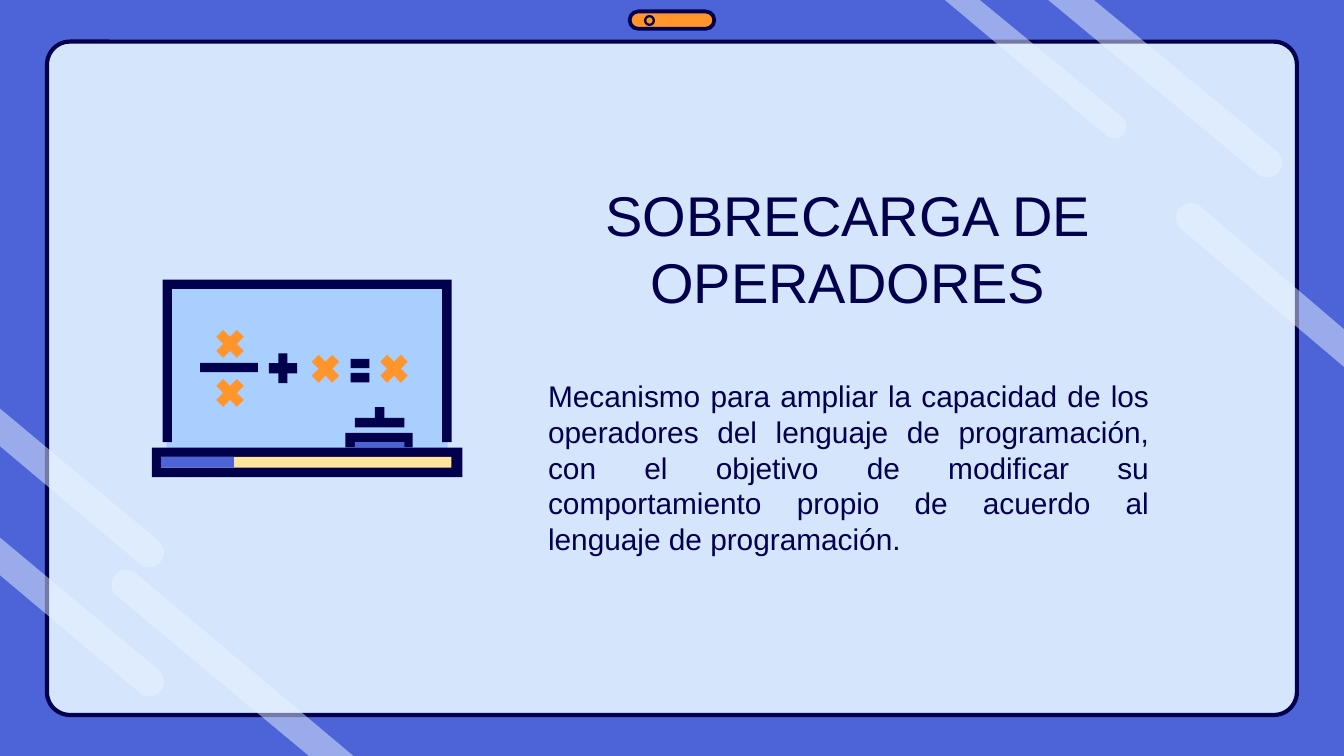
from math import cos, radians, sin

from lxml.etree import SubElement
from pptx import Presentation
from pptx.dml.color import RGBColor
from pptx.enum.shapes import MSO_SHAPE as Preset
from pptx.enum.text import MSO_ANCHOR as Anchor, PP_ALIGN as Align
from pptx.oxml.ns import qn
from pptx.util import Inches, Pt

# Every length is counted in cells: 1000 columns across the slide
COLUMNS, ROWS = 1000, 562.5
CELL = Inches(10) // COLUMNS

NAVY, BLUE, ORANGE = "00004D", "4C64D8", "FF952B"
PANEL, GLASS, SKY, CREAM = "D5E6FC", "E9F3FF", "A8CFFF", "FFE599"


def cells(*lengths):
    return [round(length * CELL) for length in lengths]


def paint(fill, color):
    fill.solid()
    fill.fore_color.rgb = RGBColor.from_string(color)


def style(shape, fill=None, line=None, line_width=0):
    shape.shadow.inherit = False
    if fill:
        paint(shape.fill, fill)
    else:
        shape.fill.background()
    if line:
        paint(shape.line.fill, line)
        shape.line.width = Pt(line_width)
    else:
        shape.line.fill.background()
    return shape


def add_preset(slide, preset, box, adjustment=None, **look):
    shape = slide.shapes.add_shape(preset, *cells(*box))
    if adjustment is not None:
        shape.adjustments[0] = adjustment
    return style(shape, **look)


def add_polygon(slide, points, fill):
    start, *others = [cells(*point) for point in points]
    builder = slide.shapes.build_freeform(*start, scale=1.0)
    builder.add_line_segments(others, close=True)
    return style(builder.convert_to_shape(), fill)


def add_streak(slide, cap, radius, lower_cut, upper_cut, turn):
    """Translucent diagonal bar: cut off at the slide edge, round at the cap."""
    angles = [radians(130 + turn * step) for step in range(0, 181, 10)]
    arc = [(cap[0] + radius * cos(angle), cap[1] + radius * sin(angle))
           for angle in angles]
    streak = add_polygon(slide, [lower_cut, *arc, upper_cut], GLASS)
    color = streak.fill._xPr.find(qn("a:solidFill"))[0]
    SubElement(color, qn("a:alpha"), val="50000")


def add_text(slide, box, text, size, align, anchor, inset=0, space_after=0):
    frame = slide.shapes.add_textbox(*cells(*box)).text_frame
    margins = {f"margin_{side}": Inches(inset)
               for side in ("left", "top", "right", "bottom")}
    paragraph = frame.paragraphs[0]
    run = paragraph.add_run()
    run.text = text
    formats = [
        (frame, {"word_wrap": True, "vertical_anchor": anchor, **margins}),
        (paragraph, {"alignment": align, "space_after": Pt(space_after)}),
        (run.font, {"name": "Arial", "size": Pt(size)}),
    ]
    for target, values in formats:
        for name, value in values.items():
            setattr(target, name, value)
    paint(run.font.fill, NAVY)


def add_backdrop(slide):
    paint(slide.background.fill, BLUE)
    add_preset(slide, Preset.ROUNDED_RECTANGLE, (35, 31, 930, 501), 0.034,
               fill=PANEL, line=NAVY, line_width=2.25)
    # Cap centre, radius, cuts at the slide edge, turn (-1 right, 1 left end)
    streaks = [
        ((943, 121), 11, (780, 0), (814, 0), -1),
        ((829, 94), 9, (703, 0), (729, 0), -1),
        ((94, 435), 11, (230, ROWS), (263, ROWS), 1),
        ((111, 507), 11, (0, 428), (0, 400), -1),
        ((111, 411), 11, (0, 332), (0, 304), -1),
        ((886, 162), 11, (COLUMNS, 273), (COLUMNS, 245), 1),
    ]
    for streak in streaks:
        add_streak(slide, *streak)
    # Camera pill
    add_preset(slide, Preset.ROUNDED_RECTANGLE, (468.5, 8.5, 63, 13), 0.5,
               fill=ORANGE, line=NAVY, line_width=2)
    add_preset(slide, Preset.OVAL, (480, 12, 6.5, 6.5),
               line=NAVY, line_width=1.25)


def add_blackboard(slide):
    blocks = [
        ((124, 211, 209, 125), SKY),      # board
        ((113, 333, 231, 22), NAVY),      # tray
        ((120, 340, 216, 8), CREAM),
        ((120, 340, 54, 8), BLUE),
        ((257, 322, 50, 11), NAVY),       # eraser
        ((264, 329, 37, 4), BLUE),
        ((264, 311, 37, 7), NAVY),
        ((279, 303, 7, 8), NAVY),
        ((149, 270, 43, 7), NAVY),        # fraction bar
        ((261, 267, 14, 7), NAVY),        # equals sign
        ((261, 277.5, 14, 7), NAVY),
    ]
    for box, color in blocks:
        add_preset(slide, Preset.RECTANGLE, box, fill=color)
    # Frame, open at the bottom
    add_polygon(slide, [(121, 208), (121, 329), (128, 329), (128, 215),
                        (329, 215), (329, 329), (336, 329), (336, 208)], NAVY)
    # Formula signs
    add_preset(slide, Preset.CROSS, (200, 263, 21, 22), 0.34, fill=NAVY)
    cross = [(1, 0), (0, 1), (1, 2), (0, 3), (1, 4), (2, 3),
             (3, 4), (4, 3), (3, 2), (4, 1), (3, 0), (2, 1)]
    for left, top in [(161, 245.5), (232, 264), (283, 264), (161, 282)]:
        add_polygon(slide, [(left + 5.1 * x, top + 5.2 * y)
                            for x, y in cross], ORANGE)


def main():
    presentation = Presentation()
    presentation.slide_width, presentation.slide_height = cells(COLUMNS, ROWS)
    slide = presentation.slides.add_slide(presentation.slide_layouts[6])
    add_backdrop(slide)
    add_text(slide, (443, 187, 376, 47), "SOBRECARGA DE OPERADORES",
             30, Align.CENTER, Anchor.BOTTOM)
    add_text(slide, (398, 271, 467, 210),
             "Mecanismo para ampliar la capacidad de los operadores del "
             "lenguaje de programación, con el objetivo de modificar su "
             "comportamiento propio de acuerdo al lenguaje de programación.",
             16, Align.JUSTIFY, Anchor.TOP, inset=0.1, space_after=16)
    add_blackboard(slide)
    presentation.save("out.pptx")


if __name__ == "__main__":
    main()
